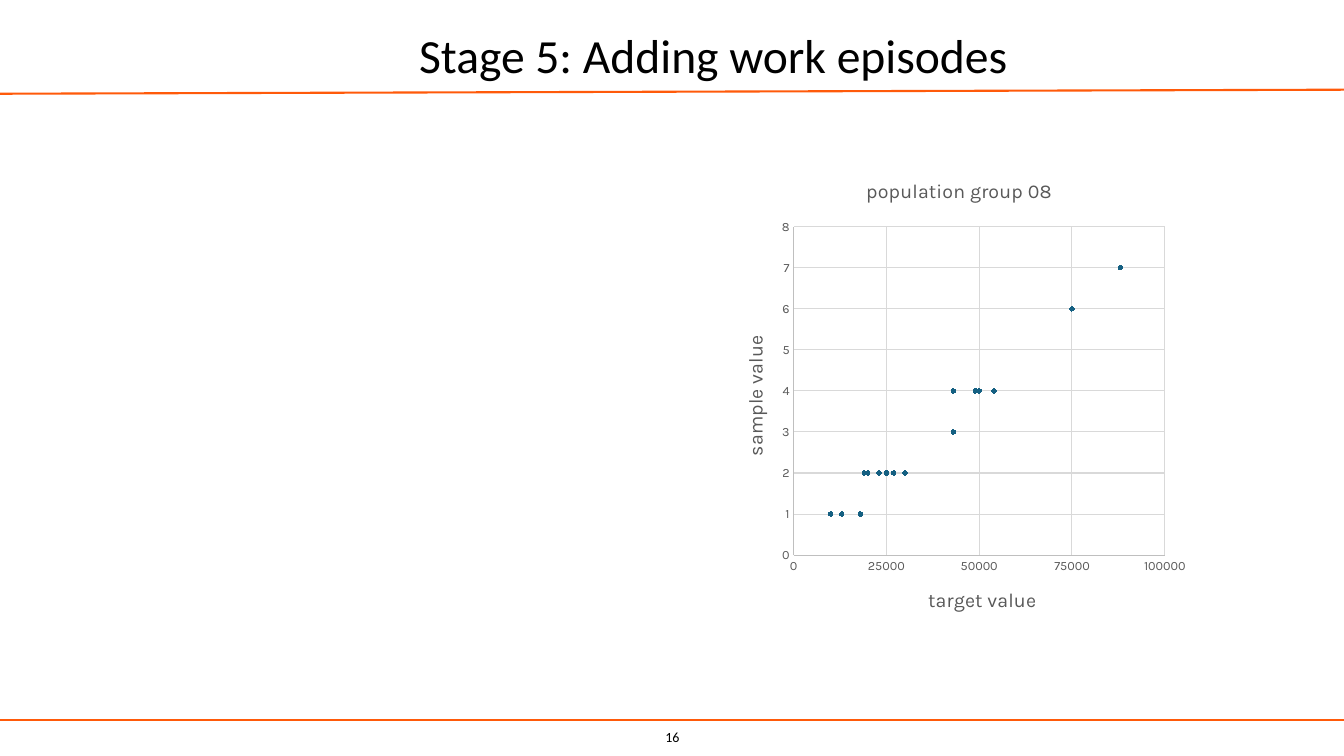
from dataclasses import dataclass

from lxml.etree import SubElement
from pptx import Presentation
from pptx.chart.data import XyChartData
from pptx.dml.color import RGBColor
from pptx.enum.chart import XL_CHART_TYPE as ChartType
from pptx.enum.chart import XL_MARKER_STYLE as MarkerStyle
from pptx.enum.chart import XL_TICK_MARK as TickMark
from pptx.enum.shapes import MSO_CONNECTOR as Connector
from pptx.enum.text import MSO_ANCHOR as Anchor
from pptx.enum.text import PP_ALIGN as Align
from pptx.oxml import parse_xml
from pptx.oxml.ns import nsdecls, qn
from pptx.util import Inches, Pt


@dataclass(frozen=True)
class Theme:
    """Colours, fonts and type sizes of the slide."""
    ink: RGBColor = RGBColor(0x00, 0x00, 0x00)
    paper: RGBColor = RGBColor(0xFF, 0xFF, 0xFF)
    rule: RGBColor = RGBColor(0xFF, 0x5A, 0x0A)
    label: RGBColor = RGBColor(0x59, 0x59, 0x59)
    axis: RGBColor = RGBColor(0xBF, 0xBF, 0xBF)
    grid: RGBColor = RGBColor(0xD9, 0xD9, 0xD9)
    point: RGBColor = RGBColor(0x15, 0x60, 0x82)
    text_font: str = "Calibri"
    chart_font: str = "Karla"
    heading_size: int = 34
    number_size: int = 10
    chart_title_size: int = 14
    tick_size: int = 9


THEME = Theme()
SLIDE_WIDTH, SLIDE_HEIGHT = 13.33, 7.5
TARGET_THOUSANDS = [88, 50, 75, 19, 13, 20, 20, 10, 30, 54, 27, 25,
                    18, 19, 19, 19, 10, 10, 23, 19, 43, 49, 43]
SAMPLES = [7, 4, 6, 2, 1, 2, 2, 1, 2, 4, 2, 2,
           1, 2, 2, 2, 1, 1, 2, 2, 3, 4, 4]


def style_font(font, family, size, color):
    """Set family, size and colour of a font."""
    font.name, font.size, font.bold = family, Pt(size), False
    font.color.rgb = color


def add_rule(slide, start_y, end_y):
    """Draw a coloured rule across the whole slide."""
    rule = slide.shapes.add_connector(
        Connector.STRAIGHT, 0, Inches(start_y), Inches(SLIDE_WIDTH), Inches(end_y))
    rule.line.color.rgb = THEME.rule
    rule.line.width = Pt(1.5)
    SubElement(rule._element.spPr, qn("a:effectLst"))


def add_centred_text(slide, box, text, size):
    """Place one centred line of text in the given box."""
    frame = slide.shapes.add_textbox(*map(Inches, box)).text_frame
    frame.word_wrap = True
    frame.vertical_anchor = Anchor.MIDDLE
    frame.text = text
    line = frame.paragraphs[0]
    line.alignment = Align.CENTER
    style_font(line.runs[0].font, THEME.text_font, size, THEME.ink)
    return line


def add_header(slide, box):
    """Build the heading and the rule below it."""
    heading = add_centred_text(
        slide, box, "Stage 5: Adding work episodes", THEME.heading_size)
    heading.line_spacing = 0.9
    add_rule(slide, 0.93, 0.89)


def add_footer(slide, box):
    """Build the page number and the rule above it."""
    rule_y = box[1] - 0.04
    add_rule(slide, rule_y, rule_y)
    add_centred_text(slide, box, "16", THEME.number_size)


def layout_xml(x, y, size=None):
    """Return a manual chart layout in fractions of the chart."""
    target = '<c:layoutTarget val="inner"/>' if size else ""
    extent = '<c:w val="{}"/><c:h val="{}"/>'.format(*size) if size else ""
    return parse_xml(
        f'<c:layout {nsdecls("c")}><c:manualLayout>{target}'
        '<c:xMode val="edge"/><c:yMode val="edge"/>'
        f'<c:x val="{x}"/><c:y val="{y}"/>{extent}'
        '</c:manualLayout></c:layout>')


def place_layout(element, layout):
    """Replace the layout of a chart title or plot area."""
    for old in element.findall(qn("c:layout")):
        element.remove(old)
    text = element.find(qn("c:tx"))
    element.insert(0 if text is None else element.index(text) + 1, layout)


def write_title(title, text, x, y):
    """Write a chart or axis title at a fractional position."""
    title.text_frame.text = text
    style_font(title.text_frame.paragraphs[0].runs[0].font, THEME.chart_font,
               THEME.chart_title_size, THEME.label)
    place_layout(title._element, layout_xml(x, y))


def style_axis(axis, maximum, step):
    """Set the scale, ticks, gridlines and fonts of an axis."""
    axis.minimum_scale, axis.maximum_scale = 0, maximum
    axis.major_unit = step
    axis.major_tick_mark = axis.minor_tick_mark = TickMark.NONE
    axis.has_major_gridlines = True
    for line, color in ((axis.format.line, THEME.axis),
                        (axis.major_gridlines.format.line, THEME.grid)):
        line.color.rgb = color
        line.width = Pt(0.75)
    labels = axis.tick_labels
    labels.number_format, labels.number_format_is_linked = "0", False
    style_font(labels.font, THEME.chart_font, THEME.tick_size, THEME.label)


def add_population_chart(slide, box):
    """Plot sample values against target values in the given box."""
    data = XyChartData()
    population = data.add_series("Series 1")
    for thousands, sample in zip(TARGET_THOUSANDS, SAMPLES):
        population.add_data_point(thousands * 1000, sample)
    chart = slide.shapes.add_chart(
        ChartType.XY_SCATTER, *map(Inches, box), data).chart
    style_font(chart.font, THEME.chart_font, THEME.number_size, THEME.ink)
    chart.has_legend = False
    chart.has_title = True
    write_title(chart.chart_title, "population group 08", 0.3, 0.03)
    chart.chart_title.include_in_layout = False
    style_axis(chart.category_axis, 100000, 25000)
    write_title(chart.category_axis.axis_title, "target value", 0.43, 0.89)
    style_axis(chart.value_axis, 8, 1)
    write_title(chart.value_axis.axis_title, "sample value", 0.04, 0.36)

    plot = chart.plots[0]
    plot.vary_by_categories = False
    points = plot.series[0]
    points.smooth = False
    points.format.line.fill.background()
    points.marker.style, points.marker.size = MarkerStyle.CIRCLE, 3
    points.marker.format.fill.solid()
    points.marker.format.fill.fore_color.rgb = THEME.point
    points.marker.format.line.color.rgb = THEME.point
    plot_area = chart._chartSpace.chart.plotArea
    place_layout(plot_area, layout_xml(0.155, 0.14, (0.78, 0.69)))


def main():
    """Build and save the slide."""
    deck = Presentation()
    deck.slide_width, deck.slide_height = Inches(SLIDE_WIDTH), Inches(SLIDE_HEIGHT)
    slide = deck.slides.add_slide(deck.slide_layouts[6])
    slide.background.fill.solid()
    slide.background.fill.fore_color.rgb = THEME.paper
    add_footer(slide, (6.35, 7.18, 0.64, 0.27))
    add_header(slide, (0.92, 0.26, 12.31, 0.64))
    add_population_chart(slide, (7.14, 1.59, 4.72, 4.72))
    deck.save("out.pptx")


if __name__ == "__main__":
    main()
